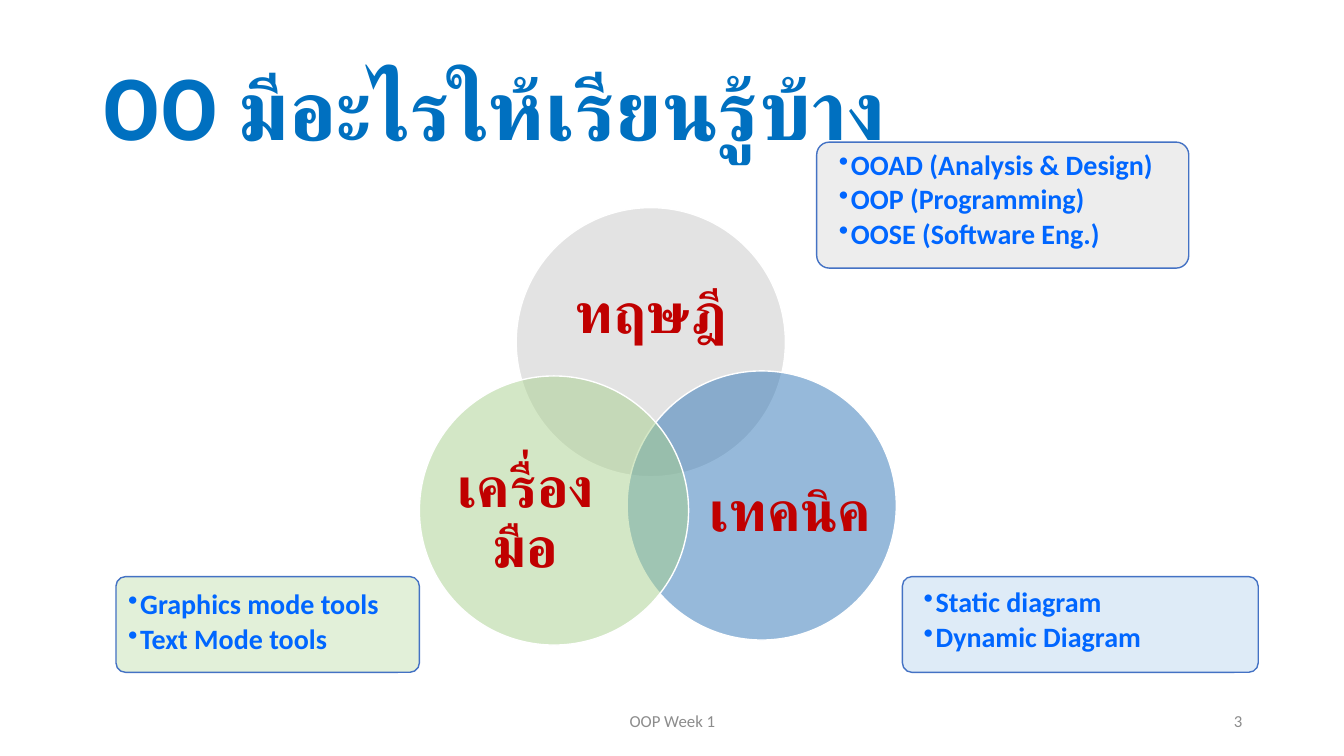
"""Build the slide on what there is to learn in OO: three overlapping circles with topic cards."""
from lxml.etree import SubElement
from pptx import Presentation
from pptx.dml.color import RGBColor
from pptx.enum.shapes import MSO_SHAPE as SHAPE
from pptx.enum.text import MSO_ANCHOR as ANCHOR, PP_ALIGN as ALIGN
from pptx.oxml.ns import qn
from pptx.util import Inches, Pt

COLORS = {
    "title": "0070C0", "circle_text": "C00000", "card_text": "0066FF",
    "footer": "8C8C8C", "white": "FFFFFF", "card_line": "4472C4",
    "gray": "C9C9C9", "blue": "2E75B6", "green": "A9D18E",
    "pale_gray": "EDEDED", "pale_blue": "DEEBF7", "pale_green": "E2F0D9",
}
DIAMETER = 2.67

prs = Presentation()
prs.slide_width, prs.slide_height = Inches(13.33), Inches(7.5)
s = prs.slides.add_slide(prs.slide_layouts[6])


def add_text(sp, lines, size, color, font="Calibri", bold=True, align=ALIGN.LEFT,
             anchor=ANCHOR.MIDDLE, inset=None, spacing=0.9, after=0, bullet=False):
    tf = sp.text_frame
    tf.word_wrap = True
    tf.vertical_anchor = anchor
    if inset is not None:
        tf.margin_left = tf.margin_right = tf.margin_top = tf.margin_bottom = Inches(inset)
    for i, line in enumerate(lines):
        p = tf.add_paragraph() if i else tf.paragraphs[0]
        p.alignment = align
        p.line_spacing = spacing
        p.space_after = Pt(after)
        if bullet:
            p.level = 1
            pPr = p._p.get_or_add_pPr()
            pPr.set("marL", str(Inches(0.12)))
            pPr.set("indent", str(Inches(-0.12)))
            SubElement(pPr, qn("a:buChar"), char="•")
        r = p.add_run()
        r.text = line
        r.font.name, r.font.size, r.font.bold = font, Pt(size), bold
        r.font.color.rgb = RGBColor.from_string(COLORS[color])


def add_filled(kind, box, fill, line=None):
    sp = s.shapes.add_shape(kind, *map(Inches, box))
    sp.shadow.inherit = False
    sp.fill.solid()
    sp.fill.fore_color.rgb = RGBColor.from_string(COLORS[fill])
    if line:
        sp.line.color.rgb = RGBColor.from_string(COLORS[line])
        sp.line.width = Pt(1)
    else:
        sp.line.fill.background()
    return sp


title = s.shapes.add_textbox(Inches(0.92), Inches(0.4), Inches(11.5), Inches(1.45))
add_text(title, ["OO มีอะไรให้เรียนรู้บ้าง"], 60, "title", font="Roboto")

circles = [
    ("ทฤษฎี", "gray", (5.12, 2.06), (5.48, 2.53, 1.96, 1.2)),
    ("เทคนิค", "blue", (6.22, 3.68), (7.04, 4.36, 1.6, 1.47)),
    ("เครื่องมือ", "green", (4.16, 3.73), (4.41, 4.42, 1.6, 1.47)),
]
for name, fill, corner, label_box in circles:
    circle = add_filled(SHAPE.OVAL, (*corner, DIAMETER, DIAMETER), fill, "white")
    rgb = circle.fill._xPr.find(qn("a:solidFill")).find(qn("a:srgbClr"))
    SubElement(rgb, qn("a:alpha"), val="50000")
    label = s.shapes.add_textbox(*map(Inches, label_box))
    add_text(label, [name], 40, "circle_text", align=ALIGN.CENTER, inset=0, after=14)

cards = [
    ("pale_gray", (8.1, 1.41, 3.69, 1.25), (8.25, 1.43, 3.37, 1.16),
     ["OOAD (Analysis & Design)", "OOP (Programming)", "OOSE (Software Eng.)"]),
    ("pale_blue", (8.95, 5.72, 3.53, 0.95), (9.09, 5.77, 3.23, 0.71),
     ["Static diagram", "Dynamic Diagram"]),
    ("pale_green", (1.15, 5.72, 3.01, 0.95), (1.2, 5.79, 2.81, 0.79),
     ["Graphics mode tools", "Text Mode tools"]),
]
for fill, card_box, list_box, topics in cards:
    card = add_filled(SHAPE.ROUNDED_RECTANGLE, card_box, fill, "card_line")
    card.adjustments[0] = 0.1
    topic_list = add_filled(SHAPE.RECTANGLE, list_box, fill)
    add_text(topic_list, topics, 20, "card_text", anchor=ANCHOR.TOP, inset=0.07,
             after=3, bullet=True)

for text, left, width, align in [("OOP Week 1", 4.42, 4.5, ALIGN.CENTER),
                                 ("3", 9.42, 3, ALIGN.RIGHT)]:
    footer = s.shapes.add_textbox(Inches(left), Inches(6.95), Inches(width), Inches(0.4))
    add_text(footer, [text], 12, "footer", bold=False, align=align, spacing=1.0)

prs.save("out.pptx")
